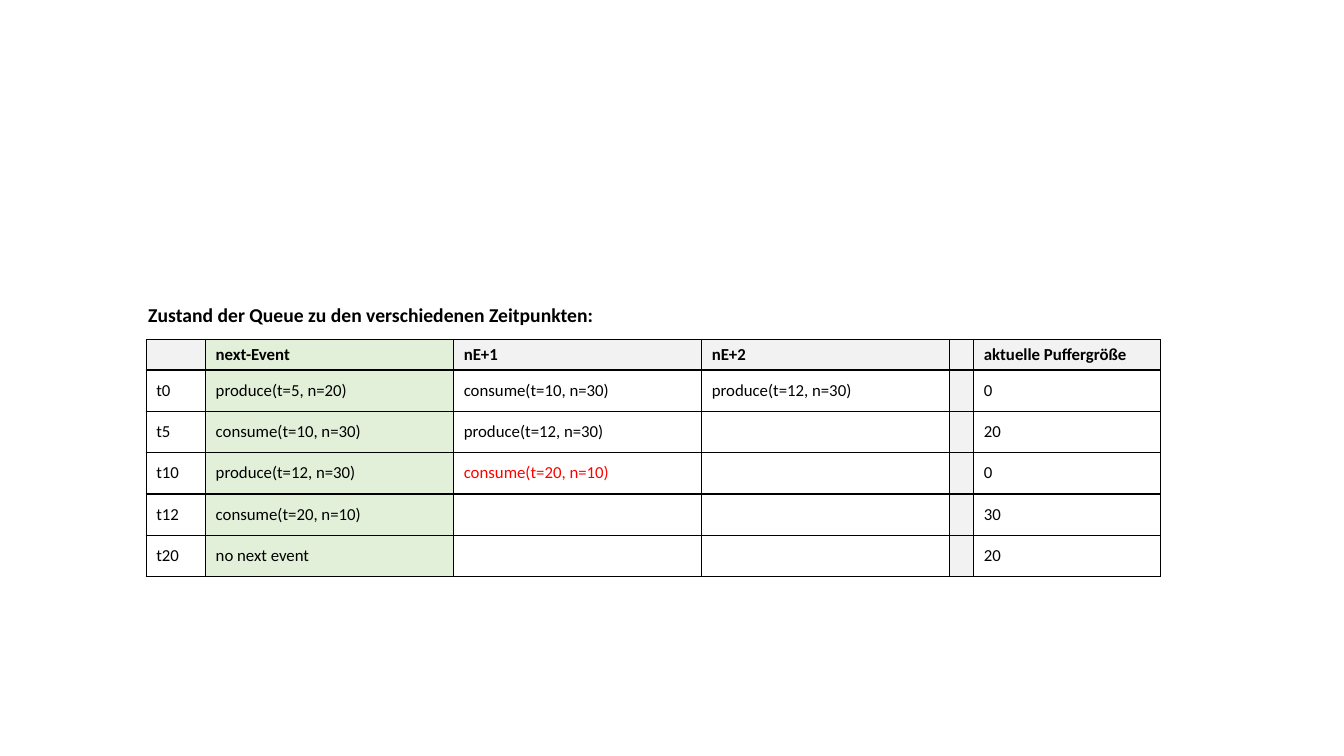
from dataclasses import dataclass

from lxml.etree import SubElement
from pptx import Presentation
from pptx.dml.color import RGBColor
from pptx.enum.text import MSO_ANCHOR, MSO_AUTO_SIZE, PP_ALIGN
from pptx.oxml import parse_xml
from pptx.oxml.ns import nsdecls, qn
from pptx.util import Inches, Pt


@dataclass(frozen=True)
class Theme:
    font: str = "Calibri"
    heading_size: int = 14
    table_size: int = 12
    border_width: int = 1
    text: str = "000000"
    highlight: str = "FF0000"
    neutral_fill: str = "F2F2F2"
    next_event_fill: str = "E2F0D9"


class QueueSlide:
    def __init__(self, presentation, theme):
        self.theme = theme
        self.slide = presentation.slides.add_slide(presentation.slide_layouts[5])

    def add_run(self, paragraph, text, size, bold=False, color=None):
        run = paragraph.add_run()
        run.text = text
        run.font.name = self.theme.font
        run.font.size = Pt(size)
        run.font.bold = bold
        run.font.color.rgb = RGBColor.from_string(color or self.theme.text)

    def heading(self, text, left, top, width, height):
        title = self.slide.shapes.title
        title.left, title.top = Inches(left), Inches(top)
        title.width, title.height = Inches(width), Inches(height)
        frame = title.text_frame
        frame.word_wrap = False
        frame.auto_size = MSO_AUTO_SIZE.SHAPE_TO_FIT_TEXT
        frame.vertical_anchor = MSO_ANCHOR.TOP
        paragraph = frame.paragraphs[0]
        paragraph.alignment = PP_ALIGN.LEFT
        paragraph.line_spacing = 1.0
        paragraph.space_before = Pt(0)
        self.add_run(paragraph, text, self.theme.heading_size, bold=True)

    def border(self, cell):
        properties = cell._tc.get_or_add_tcPr()
        # Border lines come before the fill in the cell properties
        for position, side in enumerate(("lnL", "lnR", "lnT", "lnB")):
            properties.insert(position, parse_xml(
                f'<a:{side} {nsdecls("a")} w="{Pt(self.theme.border_width)}">'
                f'<a:solidFill><a:srgbClr val="{self.theme.text}"/></a:solidFill>'
                f'</a:{side}>'))

    def cell(self, cell, text, fill, bold, color):
        if fill:
            cell.fill.solid()
            cell.fill.fore_color.rgb = RGBColor.from_string(fill)
        else:
            cell.fill.background()
        self.border(cell)
        paragraph = cell.text_frame.paragraphs[0]
        if text:
            self.add_run(paragraph, text, self.theme.table_size, bold, color)
        else:
            # Keeps empty cells as low as the filled ones
            SubElement(paragraph._p, qn("a:endParaRPr"),
                       sz=str(self.theme.table_size * 100))

    def table(self, rows, left, top, widths, heights, column_fills, highlighted):
        table = self.slide.shapes.add_table(
            len(rows), len(widths), Inches(left), Inches(top),
            Inches(sum(widths)), Inches(sum(heights))).table
        table.first_row = table.horz_banding = False
        for column, width in zip(table.columns, widths):
            column.width = Inches(width)
        for row, height in zip(table.rows, heights):
            row.height = Inches(height)
        for r, texts in enumerate(rows):
            is_header = r == 0
            for c, text in enumerate(texts):
                cell = table.cell(r, c)
                fill = column_fills.get(c)
                if is_header:
                    fill = fill or self.theme.neutral_fill
                else:
                    cell.vertical_anchor = MSO_ANCHOR.MIDDLE
                color = self.theme.highlight if (r, c) == highlighted else None
                self.cell(cell, text, fill, is_header, color)


# Event queue after each point in time
QUEUE_STATES = [
    ("", "next-Event", "nE+1", "nE+2", "", "aktuelle Puffergröße"),
    ("t0", "produce(t=5, n=20)", "consume(t=10, n=30)", "produce(t=12, n=30)", "", "0"),
    ("t5", "consume(t=10, n=30)", "produce(t=12, n=30)", "", "", "20"),
    ("t10", "produce(t=12, n=30)", "consume(t=20, n=10)", "", "", "0"),
    ("t12", "consume(t=20, n=10)", "", "", "", "30"),
    ("t20", "no next event", "", "", "", "20"),
]


def main():
    presentation = Presentation()
    presentation.slide_width = Inches(13.33)
    presentation.slide_height = Inches(7.5)
    theme = Theme()
    queue = QueueSlide(presentation, theme)

    # State table: time, three queue positions, separator, buffer size
    queue.table(
        QUEUE_STATES, left=1.45, top=3.37,
        widths=[0.59] + [2.46] * 3 + [0.23, 1.85],
        heights=[0.3] + [0.41] * (len(QUEUE_STATES) - 1),
        column_fills={1: theme.next_event_fill, 4: theme.neutral_fill},
        highlighted=(3, 2))

    # Heading above the table
    queue.heading("Zustand der Queue zu den verschiedenen Zeitpunkten:",
                  left=1.37, top=2.96, width=4.64, height=0.34)

    presentation.save("out.pptx")


if __name__ == "__main__":
    main()
